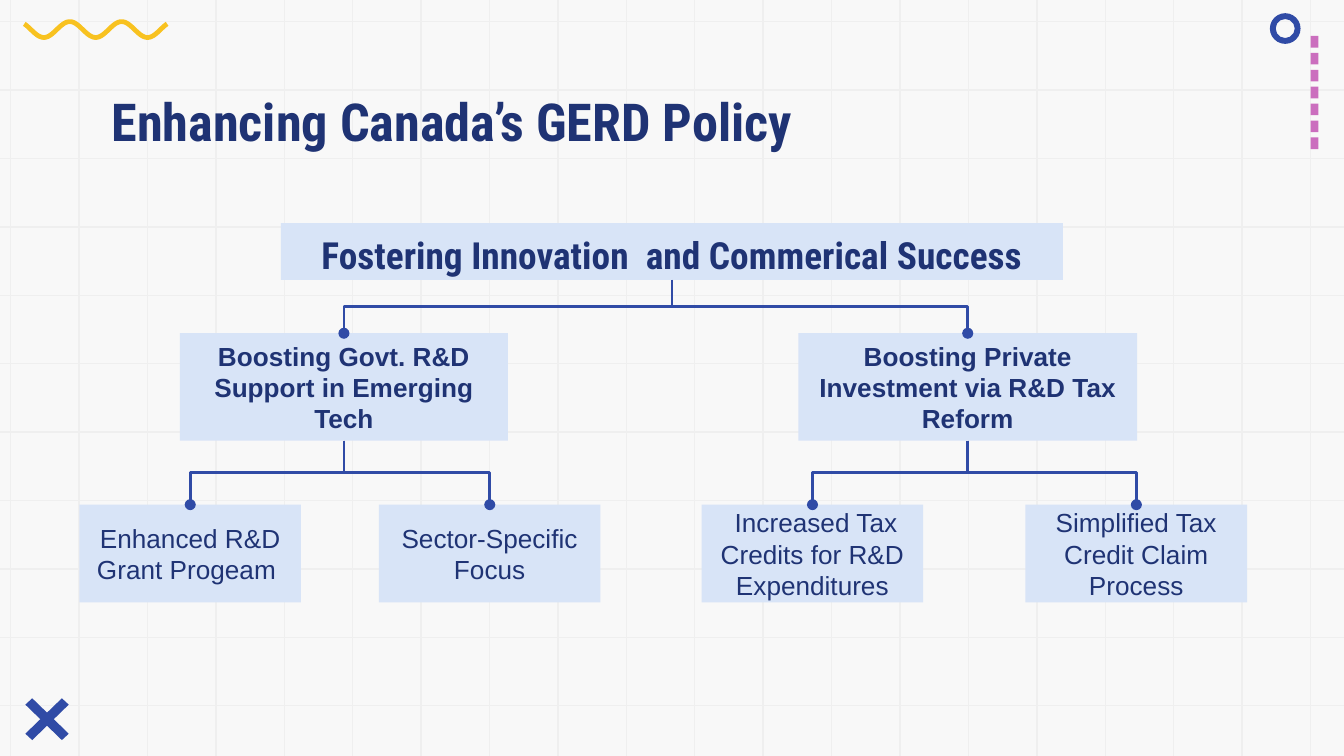
from math import atan, cos, pi, sin

from lxml import etree
from pptx import Presentation
from pptx.dml.color import RGBColor
from pptx.enum.shapes import MSO_CONNECTOR, MSO_SHAPE
from pptx.enum.text import MSO_ANCHOR, PP_ALIGN
from pptx.oxml.ns import qn
from pptx.util import Cm, Pt

RECT, RING = MSO_SHAPE.RECTANGLE, MSO_SHAPE.DONUT
STRAIGHT, ELBOW = MSO_CONNECTOR.STRAIGHT, MSO_CONNECTOR.ELBOW
MIDDLE, TOP = MSO_ANCHOR.MIDDLE, MSO_ANCHOR.TOP
CENTER, LEFT = PP_ALIGN.CENTER, PP_ALIGN.LEFT

PAPER = RGBColor(0xF8, 0xF8, 0xF8)
GRID = RGBColor(0xEF, 0xEF, 0xEF)
NAVY = RGBColor(0x1F, 0x33, 0x74)
BLUE = RGBColor(0x30, 0x4B, 0xA6)
PALE = RGBColor(0xD8, 0xE4, 0xF7)
PINK = RGBColor(0xCB, 0x6E, 0xBE)
GOLD = RGBColor(0xF8, 0xC2, 0x20)

HEAD, BODY = "Roboto Condensed", "Arial"
WIDTH, HEIGHT = 25.4, 14.29

ROOT = "Fostering Innovation  and Commerical Success"
# Each branch: text, left, width, and its leaves as (text, left)
TREE = [
    ("Boosting Govt. R&D Support in Emerging Tech", 3.4, 6.2,
     [("Enhanced R&D Grant Progeam ", 1.5),
      ("Sector-Specific Focus", 7.16)]),
    ("Boosting Private Investment via R&D Tax Reform", 15.09, 6.4,
     [(" Increased Tax Credits for R&D Expenditures", 13.26),
      ("Simplified Tax Credit Claim Process", 19.38)]),
]


def paint(shape, color):
    shape.shadow.inherit = False
    shape.fill.solid()
    shape.fill.fore_color.rgb = color
    shape.line.fill.background()


def add_block(slide, kind, box, color):
    shape = slide.shapes.add_shape(kind, *map(Cm, box))
    paint(shape, color)
    return shape


def add_outline(slide, points, color):
    points = [(Cm(x), Cm(y)) for x, y in points]
    form = slide.shapes.build_freeform(*points[0])
    form.add_line_segments(points[1:], close=True)
    paint(form.convert_to_shape(), color)


def set_text(shape, text, size, face=BODY, bold=False, align=CENTER,
             anchor=MIDDLE, space=1.0):
    frame = shape.text_frame
    frame.word_wrap = True
    frame.vertical_anchor = anchor
    frame.margin_left = frame.margin_right = Cm(0.25)
    frame.margin_top = frame.margin_bottom = Cm(0.25)
    para = frame.paragraphs[0]
    para.text = text
    para.alignment = align
    para.line_spacing = space
    font = para.font
    font.name, font.size, font.bold = face, Pt(size), bold
    font.color.rgb = NAVY


def add_box(slide, box, text, size=14, **style):
    shape = add_block(slide, RECT, box, PALE)
    set_text(shape, text, size, **style)
    return shape


def add_line(slide, kind, ends, color, weight):
    line = slide.shapes.add_connector(kind, *ends)
    line.line.color.rgb = color
    line.line.width = Pt(weight)
    etree.SubElement(line._element.spPr, qn("a:effectLst"))
    return line


def add_link(slide, parent, child):
    x1, y1 = parent.left + parent.width // 2, parent.top + parent.height
    x2, y2 = child.left + child.width // 2, child.top
    link = add_line(slide, ELBOW, (x1, y1, x2, y2), BLUE, 1.5)
    link.begin_connect(parent, 2)
    link.end_connect(child, 0)
    # Turn the elbow so that it leaves and arrives vertically
    run, drop = abs(x2 - x1), y2 - y1
    link.left = (x1 + x2 - drop) // 2
    link.top = (y1 + y2 - run) // 2
    link.width, link.height = drop, run
    frame = link._element.spPr.find(qn("a:xfrm"))
    frame.set("rot", "5400000" if x2 < x1 else "16200000")
    frame.set("flipH", "0" if x2 < x1 else "1")
    frame.set("flipV", "0")
    stroke = link._element.spPr.find(qn("a:ln"))
    etree.SubElement(stroke, qn("a:tailEnd"), type="oval")


def draw_grid(slide):
    step = 12.93 / 10
    for i in range(11):
        y = Cm(0.41 + i * step)
        add_line(slide, STRAIGHT, (Cm(WIDTH), y, 0, y), GRID, 0.75)
    for i in range(20):
        x = Cm(0.2 + i * step)
        add_line(slide, STRAIGHT, (x, Cm(-0.46), x, Cm(14.73)), GRID, 0.75)


def draw_wave(slide):
    first, last, trough, period = 0.46, 3.16, 0.83, 0.98
    mid, swing, half, count = 0.56, 0.15, 0.045, 90
    upper, lower = [], []
    for i in range(count + 1):
        x = first + (last - first) * i / count
        turn = 2 * pi * (x - trough) / period
        y = mid + swing * cos(turn)
        slope = atan(-swing * 2 * pi / period * sin(turn))
        dx, dy = half * sin(slope), half * cos(slope)
        upper.append((x + dx, y - dy))
        lower.append((x - dx, y + dy))
    add_outline(slide, upper + lower[::-1], GOLD)


def draw_marks(slide):
    # Dashed bar
    for i in range(7):
        add_block(slide, RECT, (24.77, 0.68 + i * 0.32, 0.15, 0.22), PINK)
    # Cross of two mirrored bars
    bar = [(0.61, 13.2), (0.48, 13.32), (1.17, 13.99), (1.3, 13.87)]
    add_outline(slide, bar, BLUE)
    add_outline(slide, [(1.78 - x, y) for x, y in bar], BLUE)
    draw_wave(slide)
    ring = add_block(slide, RING, (24, 0.25, 0.58, 0.58), BLUE)
    ring.adjustments[0] = 0.19


def draw_tree(slide):
    root = add_box(slide, (5.31, 4.22, 14.78, 1.07), ROOT, 20,
                   face=HEAD, bold=True, space=1.15)
    links = []
    for text, left, width, leaves in TREE:
        branch = add_box(slide, (left, 6.3, width, 2.03), text, bold=True)
        links.append((root, branch))
        for label, x in leaves:
            leaf = add_box(slide, (x, 9.54, 4.19, 1.85), label)
            links.append((branch, leaf))
    for parent, child in links:
        add_link(slide, parent, child)


def main():
    deck = Presentation()
    deck.slide_width, deck.slide_height = Cm(WIDTH), Cm(HEIGHT)
    slide = deck.slides.add_slide(deck.slide_layouts[6])
    slide.background.fill.solid()
    slide.background.fill.fore_color.rgb = PAPER

    # Backdrop
    draw_grid(slide)
    draw_marks(slide)

    # Title
    title = slide.shapes.add_textbox(Cm(1.86), Cm(1.27), Cm(23.04), Cm(1.6))
    set_text(title, "Enhancing Canada’s GERD Policy", 28, face=HEAD,
             bold=True, align=LEFT, anchor=TOP, space=1.15)

    # Policy tree
    draw_tree(slide)
    deck.save("out.pptx")


if __name__ == "__main__":
    main()
